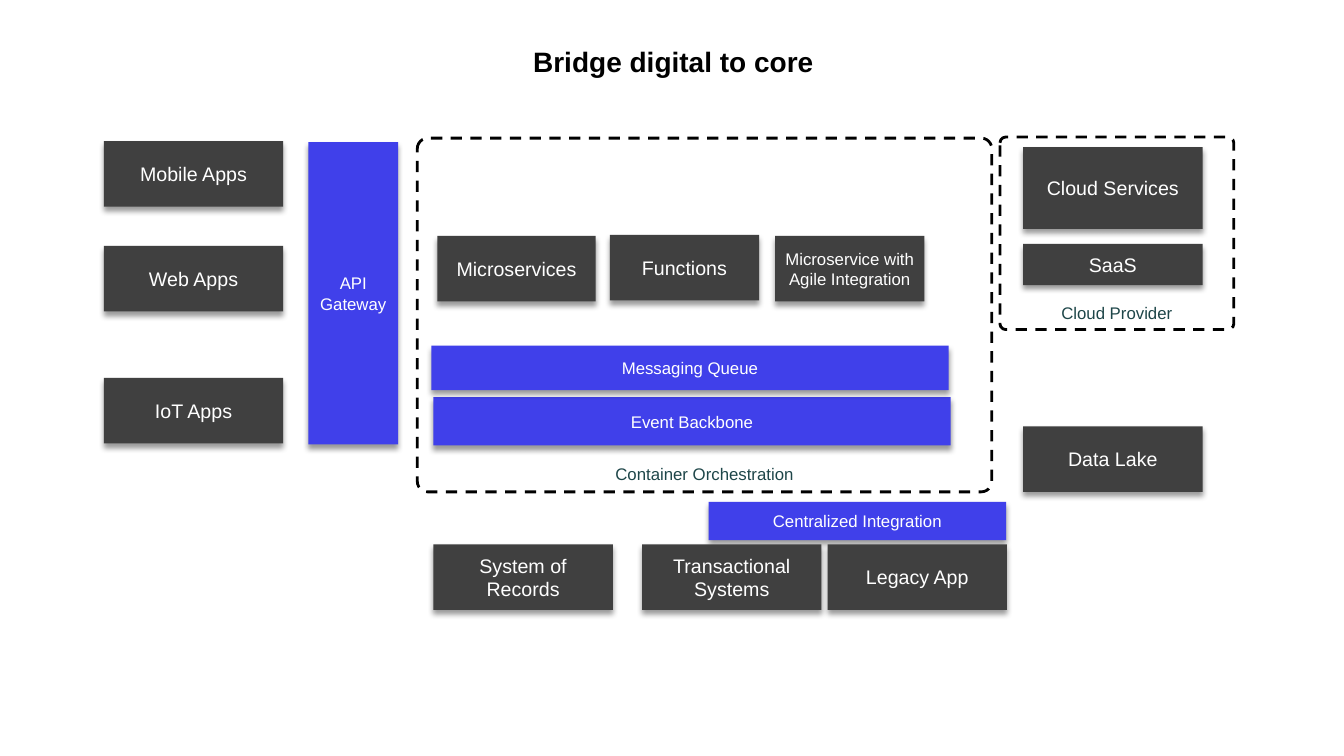
import pptx
import pptx.util
import pptx.dml.color
import pptx.enum.dml
import pptx.enum.shapes
import pptx.enum.text
import lxml.etree

SHAPE = pptx.enum.shapes.MSO_SHAPE
ANCHOR = pptx.enum.text.MSO_ANCHOR
A = "http://schemas.openxmlformats.org/drawingml/2006/main"
SHADOW = f"""<a:effectLst xmlns:a="{A}">
  <a:outerShdw blurRad="50800" dist="38100" dir="5400000" algn="t" rotWithShape="0">
    <a:srgbClr val="000000"><a:alpha val="40000"/></a:srgbClr>
  </a:outerShdw>
</a:effectLst>"""
BLACK, WHITE, GREY, BLUE, TEAL = "000000", "FFFFFF", "404040", "4040EA", "1E4649"

prs = pptx.Presentation()
prs.slide_width = pptx.util.Inches(13.33)
prs.slide_height = pptx.util.Inches(7.5)
s = prs.slides.add_slide(prs.slide_layouts[6])


def area(x, y, w, h):
    """Turn percentages of the slide's width and height into lengths."""
    return [int(share * size / 100) for share, size in
            zip((x, y, w, h), (prs.slide_width, prs.slide_height) * 2)]


def write(sp, text, size, color, anchor, bold=False):
    tf = sp.text_frame
    tf.word_wrap = True
    tf.vertical_anchor = anchor
    p = tf.paragraphs[0]
    p.alignment = pptx.enum.text.PP_ALIGN.CENTER
    r = p.add_run()
    r.text = text
    r.font.name = "Arial"
    r.font.size = pptx.util.Pt(size)
    r.font.bold = bold
    r.font.color.rgb = pptx.dml.color.RGBColor.from_string(color)


title = s.shapes.add_textbox(*area(5.03, 5.6, 90.15, 5.07))
tf = title.text_frame
tf.margin_left = tf.margin_right = tf.margin_top = tf.margin_bottom = 0
write(title, "Bridge digital to core", 20, BLACK, ANCHOR.MIDDLE, bold=True)

# Dashed frames, labelled at the bottom
for text, *place in [
    ("Container Orchestration", 31.05, 18.27, 42.75, 46.8),
    ("Cloud Provider", 74.4, 18.13, 17.4, 25.47),
]:
    sp = s.shapes.add_shape(SHAPE.ROUNDED_RECTANGLE, *area(*place))
    sp.adjustments[0] = 0.03
    sp.shadow.inherit = False
    sp.fill.background()
    sp.line.color.rgb = pptx.dml.color.RGBColor.from_string(BLACK)
    sp.line.width = pptx.util.Pt(2)
    sp.line.dash_style = pptx.enum.dml.MSO_LINE.DASH
    write(sp, text, 12, TEAL, ANCHOR.BOTTOM)

# Solid blocks, by region
APPS, CORE, CLOUD = 7.73, 32.25, 76.13
BOX_W, BOX_H, SERVICE_W, BAR_W = 13.35, 8.67, 11.1, 38.48
SERVICE_Y, SYSTEM_Y = 31.2, 72
for text, x, y, w, h, color, size in [
    ("Mobile Apps", APPS, 18.67, BOX_W, BOX_H, GREY, 14),
    ("Web Apps", APPS, 32.53, BOX_W, BOX_H, GREY, 14),
    ("IoT Apps", APPS, 50, BOX_W, BOX_H, GREY, 14),
    ("API Gateway", 22.95, 18.8, 6.68, 40, BLUE, 12),
    ("Microservices", 32.55, SERVICE_Y, 11.78, BOX_H, GREY, 14),
    ("Functions", 45.38, 31.07, SERVICE_W, BOX_H, GREY, 14),
    ("Microservice with Agile Integration", 57.68, SERVICE_Y, SERVICE_W, BOX_H, GREY, 12),
    ("Event Backbone", CORE, 52.53, BAR_W, 6.4, BLUE, 12),
    ("Messaging Queue", 32.1, 45.73, BAR_W, 5.87, BLUE, 12),
    ("Centralized Integration", 52.73, 66.4, 22.13, 5.07, BLUE, 12),
    ("System of Records", CORE, SYSTEM_Y, BOX_W, BOX_H, GREY, 14),
    ("Transactional Systems", 47.78, SYSTEM_Y, BOX_W, BOX_H, GREY, 14),
    ("Legacy App", 61.58, SYSTEM_Y, BOX_W, BOX_H, GREY, 14),
    ("Cloud Services", CLOUD, 19.47, BOX_W, 10.8, GREY, 14),
    ("SaaS", CLOUD, 32.27, BOX_W, 5.47, GREY, 14),
    ("Data Lake", CLOUD, 56.4, BOX_W, BOX_H, GREY, 14),
]:
    sp = s.shapes.add_shape(SHAPE.RECTANGLE, *area(x, y, w, h))
    sp.fill.solid()
    sp.fill.fore_color.rgb = pptx.dml.color.RGBColor.from_string(color)
    sp.line.fill.background()
    sp.element.spPr.append(lxml.etree.fromstring(SHADOW))
    write(sp, text, size, WHITE, ANCHOR.MIDDLE)

prs.save("out.pptx")
